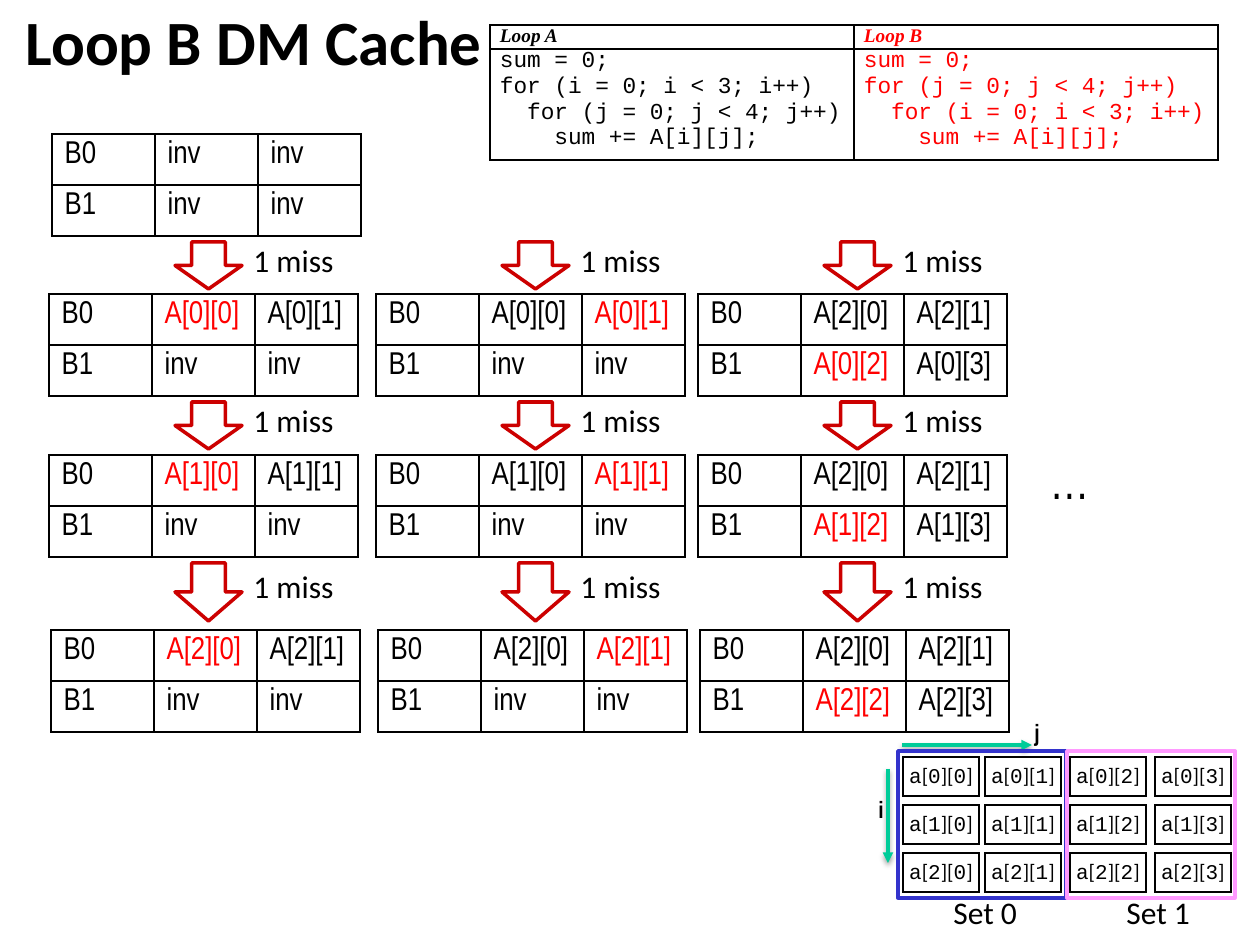
import itertools

import lxml.etree
import pptx
import pptx.dml.color
import pptx.enum.shapes
import pptx.enum.text
import pptx.oxml.ns
import pptx.util

PX_PER_INCH = 126
BLACK, RED = "000000", "FF0000"
NO_GRID_STYLE = "{2D5ABB26-0587-4C30-8999-92F81FD0307C}"
ALIGN = pptx.enum.text.PP_ALIGN
ANCHOR = pptx.enum.text.MSO_ANCHOR
SHAPE = pptx.enum.shapes.MSO_SHAPE


def px(length):
    return pptx.util.Emu(round(length * 914400 / PX_PER_INCH))


def color(hex_string):
    return pptx.dml.color.RGBColor.from_string(hex_string)


def add_xml(parent, tag, **attributes):
    return lxml.etree.SubElement(parent, pptx.oxml.ns.qn(tag), **attributes)


class Deck:
    body_font = "Calibri"
    cell_font = "Arial Narrow"
    code_font = "Courier New"

    def __init__(self):
        self.prs = pptx.Presentation()
        self.prs.slide_width, self.prs.slide_height = px(1260), px(945)
        self.slide = self.prs.slides.add_slide(self.prs.slide_layouts[5])

    def format(self, paragraph, font, size, hex_string=BLACK, bold=False,
               italic=False, align=ALIGN.LEFT):
        paragraph.alignment = align
        for run in paragraph.runs:
            run.font.name, run.font.size = font, pptx.util.Pt(size)
            run.font.bold, run.font.italic = bold, italic
            run.font.color.rgb = color(hex_string)

    def title(self, text, x, y, w, h):
        holder = self.slide.shapes.title
        holder.left, holder.top, holder.width, holder.height = map(px, (x, y, w, h))
        holder.text_frame.text = text
        holder.text_frame.vertical_anchor = ANCHOR.MIDDLE
        self.format(holder.text_frame.paragraphs[0], self.body_font, 36, bold=True)

    def label(self, text, x, y, w, h, font=None, size=18, bold=False, wrap=False):
        box = self.slide.shapes.add_textbox(*map(px, (x, y, w, h)))
        box.text_frame.word_wrap = wrap
        box.text_frame.text = text
        self.format(box.text_frame.paragraphs[0], font or self.body_font, size, bold=bold)
        return box.text_frame.paragraphs[0]

    def outline(self, kind, x, y, w, h, hex_string):
        shape = self.slide.shapes.add_shape(kind, *map(px, (x, y, w, h)))
        shape.shadow.inherit = False
        shape.fill.background()
        shape.line.color.rgb = color(hex_string)
        shape.line.width = pptx.util.Pt(2)

    def arrow(self, x1, y1, x2, y2, hex_string):
        line = self.slide.shapes.add_connector(
            pptx.enum.shapes.MSO_CONNECTOR.STRAIGHT, *map(px, (x1, y1, x2, y2)))
        line.line.color.rgb = color(hex_string)
        line.line.width = pptx.util.Pt(2)
        properties = line._element.spPr
        add_xml(properties.find(pptx.oxml.ns.qn("a:ln")), "a:tailEnd", type="triangle")
        shadow = add_xml(add_xml(properties, "a:effectLst"), "a:outerShdw",
                         blurRad="39370", dist="20320", dir="5400000", rotWithShape="0")
        add_xml(add_xml(shadow, "a:srgbClr", val=BLACK), "a:alpha", val="38000")

    def table(self, x, y, widths, heights):
        frame = self.slide.shapes.add_table(
            len(heights), len(widths), *map(px, (x, y, sum(widths), sum(heights))))
        table = frame.table
        table.first_row = table.horz_banding = False
        table._tbl.tblPr.find(pptx.oxml.ns.qn("a:tableStyleId")).text = NO_GRID_STYLE
        for column, width in zip(table.columns, widths):
            column.width = px(width)
        for row, height in zip(table.rows, heights):
            row.height = px(height)
        return table

    def cell(self, cell, sides="LRTB", side_margin=None):
        properties = cell._tc.get_or_add_tcPr()
        for side in sides:
            border = add_xml(properties, f"a:ln{side}", w="12700")
            add_xml(add_xml(border, "a:solidFill"), "a:srgbClr", val=BLACK)
        cell.fill.background()
        if side_margin is not None:
            cell.margin_left = cell.margin_right = px(side_margin)
            cell.margin_top = cell.margin_bottom = 0

    def cache(self, x, y, rows, missed=None):
        table = self.table(x, y, [103] * 3, [51] * 2)
        for r, c in itertools.product(range(2), range(3)):
            cell = table.cell(r, c)
            self.cell(cell)
            cell.text_frame.text = rows[r][c]
            self.format(cell.text_frame.paragraphs[0], self.cell_font, 18,
                        RED if rows[r][c] == missed else BLACK)

    def loops(self, x, y, listings):
        table = self.table(x, y, [364] * 2, [24, 111])
        for c, (name, code, hex_string) in enumerate(listings):
            heading, body = table.cell(0, c), table.cell(1, c)
            for cell, text in ((heading, name), (body, code)):
                self.cell(cell, side_margin=10)
                cell.text_frame.text = text
            self.format(heading.text_frame.paragraphs[0], "Times New Roman", 11,
                        hex_string, bold=True, italic=True, align=ALIGN.JUSTIFY)
            for paragraph in body.text_frame.paragraphs:
                self.format(paragraph, self.code_font, 13, hex_string, align=ALIGN.JUSTIFY)

    def array(self, x, y):
        widths, heights = [76, 6, 76, 9, 76, 9, 76], [39, 9, 39, 9, 39]
        table = self.table(x, y, widths, heights)
        # Odd rows and columns are gaps that share the borders of their neighbours
        borders = {(0, 0): "LRTB", (0, 1): "LR", (1, 0): "TB", (1, 1): ""}
        for r, c in itertools.product(range(len(heights)), range(len(widths))):
            cell = table.cell(r, c)
            self.cell(cell, borders[r % 2, c % 2], side_margin=0)
            paragraph = cell.text_frame.paragraphs[0]
            if r % 2 or c % 2:
                add_xml(paragraph._p, "a:endParaRPr", sz="100")
                continue
            cell.vertical_anchor = ANCHOR.MIDDLE
            element = f"a[{r // 2}][{c // 2}]"
            pieces = [(bracket, "".join(chars)) for bracket, chars
                      in itertools.groupby(element, key=lambda char: char in "[]")]
            for _, piece in pieces:
                paragraph.add_run().text = piece
            self.format(paragraph, self.code_font, 12, align=ALIGN.CENTER)
            for run, (bracket, _) in zip(paragraph.runs, pieces):
                run.font.name = self.body_font if bracket else self.code_font


def loop_code(outer, outer_end, inner, inner_end):
    return "\n".join([
        "sum = 0;",
        f"for ({outer} = 0; {outer} < {outer_end}; {outer}++)",
        f"  for ({inner} = 0; {inner} < {inner_end}; {inner}++)",
        "    sum += A[i][j];"])


def main():
    deck = Deck()
    deck.title("Loop B DM Cache", 13, -11, 1158, 102)
    deck.loops(490, 25, [("Loop A", loop_code("i", 3, "j", 4), BLACK),
                         ("Loop B", loop_code("j", 4, "i", 3), RED)])

    # Empty cache, then one column per j and one step per i
    invalid = ["inv", "inv"]
    deck.cache(52, 134, [["B0", *invalid], ["B1", *invalid]])
    steps = [(242, 47, 235, 294, 0), (402, 47, 395, 455, 0), (563, 58, 561, 630, 2)]
    for j, left in enumerate([49, 376, 698]):
        for i, (arrow_top, arrow_height, label_top, top, shift) in enumerate(steps):
            deck.outline(SHAPE.DOWN_ARROW, left + 126, arrow_top, 67, arrow_height, "CC0000")
            deck.label("1 miss", left + 192, label_top, 106, 50)
            if j < 2:
                set_0, set_1 = [f"A[{i}][0]", f"A[{i}][1]"], invalid
            else:
                set_0, set_1 = ["A[2][0]", "A[2][1]"], [f"A[{i}][2]", f"A[{i}][3]"]
            deck.cache(left + shift, top, [["B0", *set_0], ["B1", *set_1]], f"A[{i}][{j}]")
    ellipsis = deck.label("…", 974, 444, 132, 72, deck.cell_font, 28, wrap=True)
    ellipsis._p.get_or_add_pPr().set("marL", str(px(63)))

    # Array layout with its index directions and cache sets
    deck.array(903, 757)
    deck.arrow(888, 769, 888, 863, "00CC99")
    deck.label("i", 866, 789, 32, 42, deck.cell_font, 13.5, bold=True)
    deck.arrow(902, 745, 1032, 745, "00CC99")
    deck.label("j", 1022, 712, 32, 42, deck.cell_font, 13.5, bold=True)
    for name, left, label_left, hex_string in (("Set 0", 898, 941, "3333CC"),
                                               ("Set 1", 1067, 1114, "FF99FF")):
        deck.outline(SHAPE.RECTANGLE, left, 751, 168, 147, hex_string)
        deck.label(name, label_left, 887, 89, 50)

    deck.prs.save("out.pptx")


if __name__ == "__main__":
    main()
